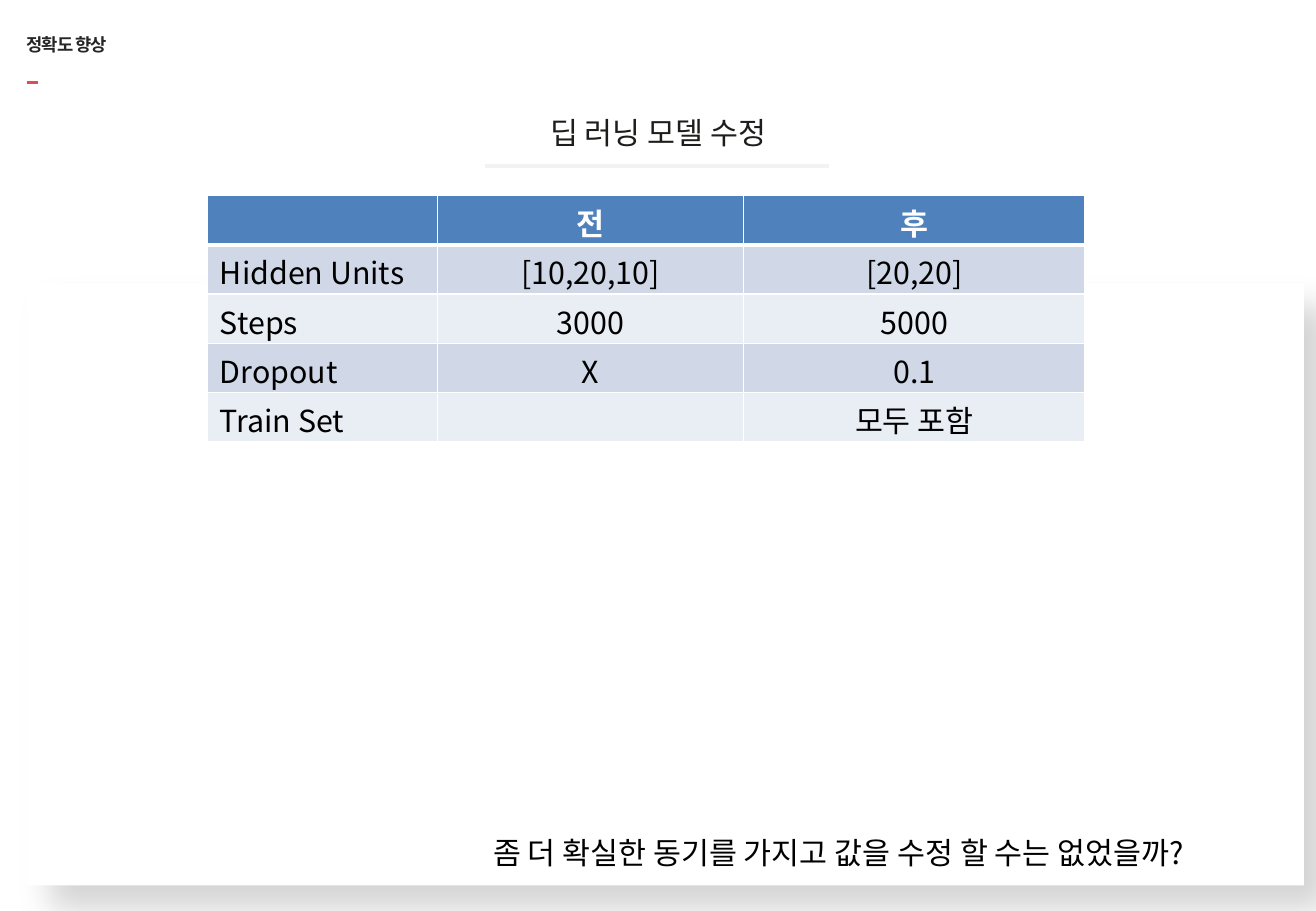
from pptx import Presentation
from pptx.dml.color import RGBColor
from pptx.enum.shapes import MSO_CONNECTOR, MSO_SHAPE
from pptx.enum.text import MSO_ANCHOR, PP_ALIGN
from pptx.oxml import parse_xml
from pptx.oxml.ns import nsdecls
from pptx.util import Inches, Pt

TITLE = "정확도 향상"
HEADING = "딥 러닝 모델 수정"
QUESTION = "좀 더 확실한 동기를 가지고 값을 수정 할 수는 없었을까?"
ROWS = [
    ("", "전", "후"),
    ("Hidden Units", "[10,20,10]", "[20,20]"),
    ("Steps", "3000", "5000"),
    ("Dropout", "X", "0.1"),
    ("Train Set", "", "모두 포함"),
]
COLS = (1.89, 2.52, 2.81)
ROW_H = 0.406

THEME = {
    "font": "Noto Sans CJK KR",
    "small": 10.5, "body": 18,
    "white": "FFFFFF", "black": "000000",
    "title": "262626", "heading": "1D1D1B",
    "accent": "DA5054", "rule": "F2F2F2",
    "head": "4F81BD", "bands": ("D0D8E8", "E9EDF4"),
}


def rgb(name):
    return RGBColor.from_string(THEME.get(name, name))


def write(frame, text, size="body", color="black", bold=False,
          align=PP_ALIGN.LEFT, after=None, track=None):
    para = frame.paragraphs[0]
    para.alignment = align
    if after is not None:
        para.space_after = Pt(after)
    run = para.add_run()
    run.text = text
    font = run.font
    font.name, font.size, font.bold = THEME["font"], Pt(THEME[size]), bold
    font.color.rgb = rgb(color)
    props = run._r.get_or_add_rPr()
    props.append(parse_xml(f'<a:ea {nsdecls("a")} typeface="{THEME["font"]}"/>'))
    if track is not None:
        props.set("spc", str(round(track * 100)))


def add_text(slide, box, text, anchor=MSO_ANCHOR.TOP, inset=None, **style):
    frame = slide.shapes.add_textbox(*map(Inches, box)).text_frame
    frame.word_wrap = True
    frame.vertical_anchor = anchor
    if inset is not None:
        frame.margin_left = frame.margin_right = Inches(inset)
        frame.margin_top = frame.margin_bottom = Inches(inset)
    write(frame, text, **style)


def add_rule(slide, left, right, top, color, width):
    line = slide.shapes.add_connector(
        MSO_CONNECTOR.STRAIGHT, *map(Inches, (left, top, right, top)))
    line.line.color.rgb = rgb(color)
    line.line.width = Pt(width)
    line._element.spPr.append(parse_xml(f'<a:effectLst {nsdecls("a")}/>'))


def add_panel(slide):
    """White sheet with a soft shadow to the lower right."""
    panel = slide.shapes.add_shape(
        MSO_SHAPE.RECTANGLE, *map(Inches, (0.22, 2.33, 10.51, 4.96)))
    panel.fill.solid()
    panel.fill.fore_color.rgb = rgb("white")
    panel.line.fill.background()
    panel.shadow.inherit = False
    effects = panel._element.spPr.find(
        "{http://schemas.openxmlformats.org/drawingml/2006/main}effectLst")
    effects.append(parse_xml(
        f'<a:outerShdw {nsdecls("a")} blurRad="{Pt(19)}" dist="{Pt(20)}" '
        f'dir="{45 * 60000}" algn="tl" rotWithShape="0">'
        f'<a:srgbClr val="{THEME["black"]}"><a:alpha val="16000"/></a:srgbClr>'
        '</a:outerShdw>'))


def set_edges(cell, row):
    """White cell borders, thicker between the header and the body."""
    widths = {"L": 1, "R": 1, "T": 3 if row == 1 else 1, "B": 3 if row == 0 else 1}
    props = cell._tc.get_or_add_tcPr()
    for spot, (side, width) in enumerate(widths.items()):
        props.insert(spot, parse_xml(
            f'<a:ln{side} {nsdecls("a")} w="{Pt(width)}"><a:solidFill>'
            f'<a:srgbClr val="{THEME["white"]}"/></a:solidFill></a:ln{side}>'))


def add_grid(slide):
    size = (1.71, 1.61, sum(COLS), ROW_H * len(ROWS))
    table = slide.shapes.add_table(
        len(ROWS), len(COLS), *map(Inches, size)).table
    for col, width in zip(table.columns, COLS):
        col.width = Inches(width)
    for r, texts in enumerate(ROWS):
        table.rows[r].height = Inches(ROW_H)
        fill = THEME["bands"][(r - 1) % 2] if r else "head"
        for c, text in enumerate(texts):
            cell = table.cell(r, c)
            cell.margin_top, cell.margin_bottom = Inches(0.04), 0
            cell.fill.solid()
            cell.fill.fore_color.rgb = rgb(fill)
            set_edges(cell, r)
            if text:
                write(cell.text_frame, text, bold=r == 0,
                      color="black" if r else "white",
                      align=PP_ALIGN.CENTER if c else PP_ALIGN.LEFT)


def main():
    deck = Presentation()
    deck.slide_width, deck.slide_height = Inches(10.83), Inches(7.5)
    slide = deck.slides.add_slide(deck.slide_layouts[6])
    add_panel(slide)
    add_rule(slide, 0.22, 0.31, 0.68, "accent", 2)
    add_text(slide, (1.44, 0.9, 7.95, 0.38), HEADING, MSO_ANCHOR.MIDDLE,
             color="heading", align=PP_ALIGN.CENTER, after=3)
    add_rule(slide, 3.99, 6.82, 1.37, "rule", 2.25)
    add_text(slide, (0.22, 0.13, 2.99, 0.47), TITLE, MSO_ANCHOR.MIDDLE, 0,
             size="small", color="title", bold=True, track=-0.6)
    add_text(slide, (3.96, 6.82, 6.68, 0.4), QUESTION)
    add_grid(slide)
    deck.save("out.pptx")


if __name__ == "__main__":
    main()
